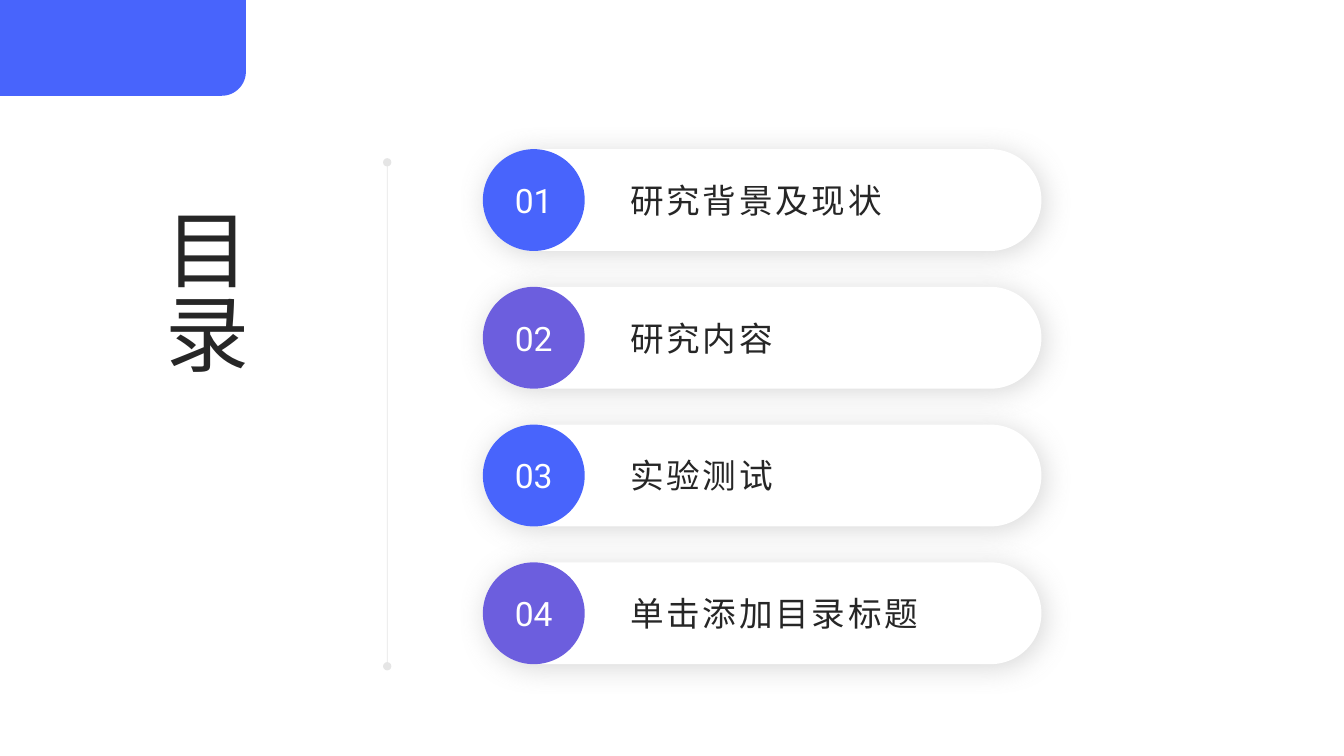
import math

from lxml import etree
from pptx import Presentation
from pptx import util as u
from pptx.dml.color import RGBColor
from pptx.enum import shapes, text
from pptx.oxml import parse_xml
from pptx.oxml.ns import nsdecls, qn

BLUE, PURPLE, GREY = "4864FC", "6C5EDE", "808080"
WHITE, INK = "FFFFFF", "262626"


def color(hex_string):
    return RGBColor.from_string(hex_string)


class AgendaSlide:
    """Style and current slide; lengths are hundredths of its width and height."""
    font = "Roboto"

    def __init__(self, deck):
        self.slide = deck.slides.add_slide(deck.slide_layouts[6])
        self.col, self.row = deck.slide_width / 100, deck.slide_height / 100

    def place(self, x, y, w, h):
        return (round(x * self.col), round(y * self.row),
                round(w * self.col), round(h * self.row))

    def paint(self, shape, fill):
        shape.shadow.inherit = False
        shape.fill.solid()
        shape.fill.fore_color.rgb = color(fill)
        shape.line.fill.background()
        return shape

    def shape(self, kind, box, fill):
        return self.paint(self.slide.shapes.add_shape(kind, *self.place(*box)), fill)

    def corner(self, w, h, radius):
        """Block in the top left with its lower right corner rounded."""
        right, bottom, r = w * self.col, h * self.row, radius * self.col
        arc = [(right - r + r * math.cos(a), bottom - r + r * math.sin(a))
               for a in (math.pi / 2 * i / 24 for i in range(25))]
        outline = self.slide.shapes.build_freeform(0, 0)
        outline.add_line_segments([(right, 0)] + arc + [(0, bottom)])
        return self.paint(outline.convert_to_shape(), BLUE)

    def divider(self, x, top, bottom):
        x, top, _, bottom = self.place(x, top, 0, bottom)
        line = self.slide.shapes.add_connector(
            shapes.MSO_CONNECTOR.STRAIGHT, x, top, x, bottom)
        line.line.width = u.Pt(0.5)
        line.line.color.rgb = color(GREY)
        ln = line.line._get_or_add_ln()
        rgb = ln.find(".//" + qn("a:srgbClr"))
        etree.SubElement(rgb, qn("a:alpha"), val="20000")
        for end in ("a:headEnd", "a:tailEnd"):
            etree.SubElement(ln, qn(end), type="oval")
        etree.SubElement(line._element.spPr, qn("a:effectLst"))

    def pill(self, box):
        pill = self.shape(shapes.MSO_SHAPE.ROUNDED_RECTANGLE, box, WHITE)
        pill.adjustments[0] = 0.5
        pill._element.spPr.find(qn("a:effectLst")).append(parse_xml(
            f'<a:outerShdw {nsdecls("a")} blurRad="{u.Pt(20)}" dist="{u.Pt(3)}" '
            f'dir="2700000" algn="tl" rotWithShape="0"><a:srgbClr val="{GREY}">'
            '<a:alpha val="30000"/></a:srgbClr></a:outerShdw>'))

    def add_words(self, frame, words, size, ink, align=text.PP_ALIGN.LEFT, spacing=0):
        frame.vertical_anchor = text.MSO_ANCHOR.MIDDLE
        paragraph = frame.paragraphs[0]
        paragraph.alignment = align
        run = paragraph.add_run()
        run.text = words
        run.font.size = u.Pt(size)
        run.font.name = self.font
        run.font.color.rgb = color(ink)
        props = run._r.get_or_add_rPr()
        etree.SubElement(props, qn("a:ea"), typeface=self.font)
        if spacing:
            props.set("spc", str(spacing * 100))

    def badge(self, box, number, fill):
        frame = self.shape(shapes.MSO_SHAPE.OVAL, box, fill).text_frame
        frame.margin_left = frame.margin_right = 0
        frame.margin_top = frame.margin_bottom = 0
        frame.word_wrap = False
        self.add_words(frame, number, 24, WHITE, text.PP_ALIGN.CENTER)

    def text_box(self, box):
        frame = self.slide.shapes.add_textbox(*self.place(*box)).text_frame
        frame.word_wrap = True
        return frame

    def label(self, box, words):
        frame = self.text_box(box)
        frame.margin_top = frame.margin_bottom = 0
        self.add_words(frame, words, 24, INK, spacing=2)

    def vertical_title(self, box, words):
        frame = self.text_box(box)
        frame._txBody.bodyPr.set("vert", "eaVert")
        self.add_words(frame, words, 60, INK)


def main():
    deck = Presentation()
    deck.slide_width, deck.slide_height = u.Inches(13.33), u.Inches(7.5)
    agenda = AgendaSlide(deck)

    # Frame and title
    agenda.divider(28.81, 21.47, 88.13)
    agenda.corner(18.3, 12.67, 1.8)
    agenda.vertical_title((9.6, 26.13, 11.25, 52.53), "目录")

    # Sections, evenly spaced
    sections = ["研究背景及现状", "研究内容", "实验测试", "单击添加目录标题"]
    left, first, pitch, height = 35.93, 19.73, 18.22, 13.47
    for i, section in enumerate(sections):
        top = first + i * pitch
        agenda.pill((left, top, 41.56, height))
        agenda.badge((left, top, 7.58, height), f"{i + 1:02}", (BLUE, PURPLE)[i % 2])
        agenda.label((46.14, top, 31.43, height), section)

    deck.save("out.pptx")


if __name__ == "__main__":
    main()
